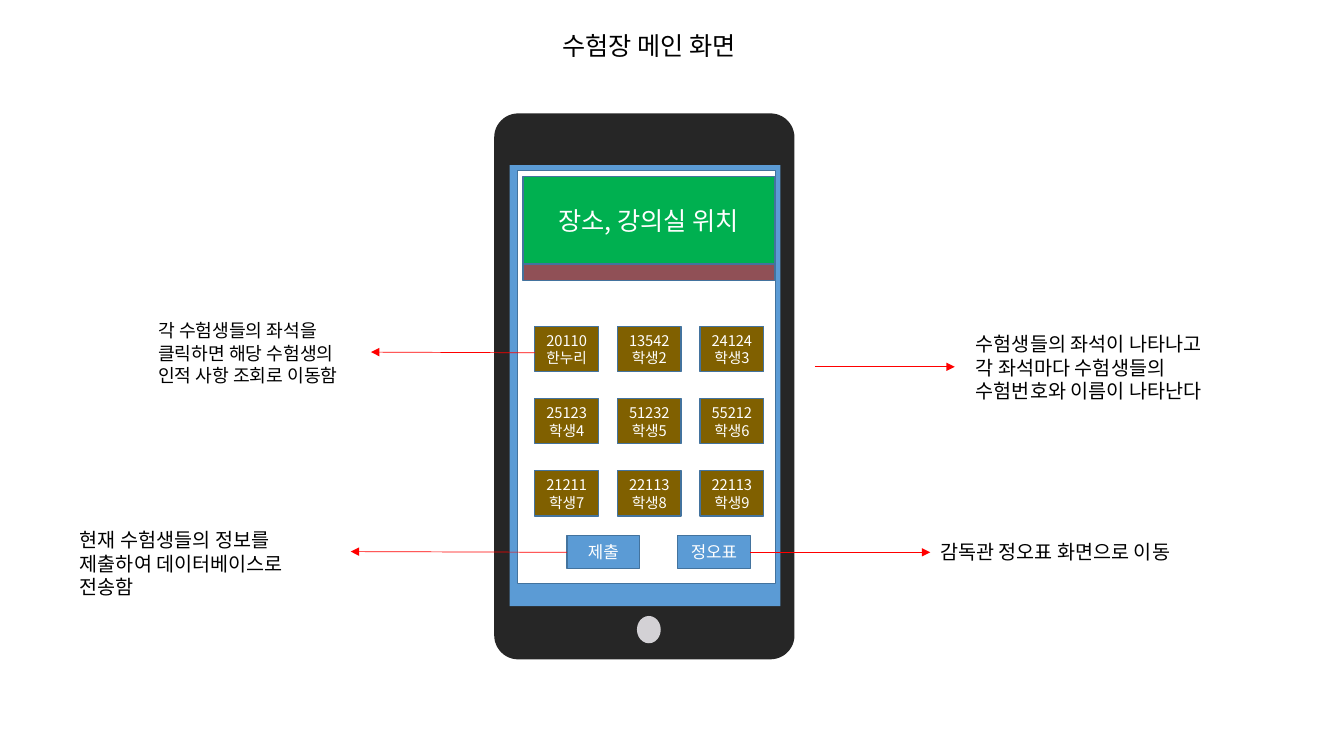
from pptx import Presentation
from pptx.dml.color import RGBColor
from pptx.enum.shapes import MSO_CONNECTOR as Link, MSO_SHAPE as Form
from pptx.enum.text import MSO_ANCHOR as Anchor, PP_ALIGN as Align
from pptx.oxml.ns import qn
from pptx.util import Pt
from lxml.etree import SubElement

FONT = "Noto Sans CJK KR"
BLACK = RGBColor(0x00, 0x00, 0x00)
WHITE = RGBColor(0xFF, 0xFF, 0xFF)
CASE = RGBColor(0x26, 0x26, 0x26)
BLUE = RGBColor(0x5B, 0x9B, 0xD5)
EDGE = RGBColor(0x43, 0x73, 0x9E)
GREEN = RGBColor(0x00, 0xB0, 0x50)
WINE = RGBColor(0x90, 0x50, 0x56)
BROWN = RGBColor(0x80, 0x60, 0x00)
GREY = RGBColor(0xD3, 0xD1, 0xD5)
RED = RGBColor(0xFF, 0x00, 0x00)

TITLE = (241, 18, 441, 29)
PHONE = (353, 81, 214.5, 390)
SEATS = [
    ["20110\n한누리", "13542\n학생2", "24124\n학생3"],
    ["25123\n학생4", "51232\n학생5", "55212\n학생6"],
    ["21211\n학생7", "22113\n학생8", "22113\n학생9"],
]
NOTES = [
    ((690, 233, 200, 58), "수험생들의 좌석이 나타나고\n각 좌석마다 수험생들의\n수험번호와 이름이 나타난다", 14),
    ((106, 224.5, 158, 55), "각 수험생들의 좌석을\n클릭하면 해당 수험생의\n인적 사항 조회로 이동함", 13),
    ((50, 373, 200, 58), "현재 수험생들의 정보를 제출하여 데이터베이스로 전송함", 14),
    ((664.5, 382, 200, 24.5), "감독관 정오표 화면으로 이동", 14),
]
ARROWS = [
    (582, 262, 682, 262),
    (382, 252, 265, 251.5),
    (405, 394.5, 250.5, 394),
    (536, 394.5, 664.5, 394.5),
]


def write(frame, text, size, color, align, anchor):
    frame.text = text
    frame.word_wrap = True
    frame.vertical_anchor = anchor
    for line in frame.paragraphs:
        line.alignment = align
        line.line_spacing = Pt(round(size * 1.22, 1))
        for run in line.runs:
            font = run.font
            font.name, font.size, font.color.rgb = FONT, Pt(size), color
            SubElement(run._r.rPr, qn("a:ea")).set("typeface", FONT)


def block(shapes, form, box, fill, edge=None, text="", size=12):
    shape = shapes.add_shape(form, *map(Pt, box))
    shape.shadow.inherit = False
    shape.fill.solid()
    shape.fill.fore_color.rgb = fill
    if edge is None:
        shape.line.fill.background()
    else:
        shape.line.color.rgb = edge
        shape.line.width = Pt(1)
    if text:
        frame = shape.text_frame
        frame.margin_left = frame.margin_right = Pt(0)
        frame.margin_top = frame.margin_bottom = Pt(0)
        write(frame, text, size, WHITE, Align.CENTER, Anchor.MIDDLE)
    return shape


def head(slide, box):
    title = slide.shapes.title
    title.left, title.top, title.width, title.height = map(Pt, box)
    write(title.text_frame, " 수험장 메인 화면", 18, BLACK, Align.CENTER, Anchor.MIDDLE)


def seats(shapes, left, top):
    for row, names in enumerate(SEATS):
        for col, name in enumerate(names):
            box = (left + 59 * col, top + 51.5 * row, 45.5, 32.5)
            block(shapes, Form.RECTANGLE, box, BROWN, EDGE, name, 10.5)


def phone(shapes, box):
    left, top = box[:2]
    body = block(shapes, Form.ROUNDED_RECTANGLE, box, CASE)
    body.adjustments[0] = 0.08
    block(shapes, Form.RECTANGLE, (left + 11, top + 37, 193.5, 315), BLUE)
    block(shapes, Form.OVAL, (left + 102, top + 359, 17, 19.5), GREY)
    block(shapes, Form.RECTANGLE, (left + 16.5, top + 41, 184.5, 295), WHITE, EDGE)
    block(shapes, Form.RECTANGLE, (left + 20.5, top + 107.5, 180, 12), WINE, EDGE)
    block(shapes, Form.RECTANGLE, (left + 20.5, top + 45, 180, 62.5), GREEN, EDGE,
          "장소, 강의실 위치", 18)
    seats(shapes, left + 29, top + 152)
    for col, name in enumerate(["제출", "정오표"]):
        spot = (left + 52 + 79 * col, top + 301.5, 52, 23.5)
        block(shapes, Form.RECTANGLE, spot, BLUE, EDGE, name, 12)


def note(shapes, box, text, size):
    frame = shapes.add_textbox(*map(Pt, box)).text_frame
    write(frame, text, size, BLACK, Align.LEFT, Anchor.TOP)


def arrow(shapes, ends):
    link = shapes.add_connector(Link.STRAIGHT, *map(Pt, ends))
    link.line.color.rgb = RED
    link.line.width = Pt(0.5)
    SubElement(link.line._get_or_add_ln(), qn("a:tailEnd")).set("type", "triangle")
    SubElement(link._element.spPr, qn("a:effectLst"))


def main():
    deck = Presentation()
    deck.slide_width, deck.slide_height = Pt(960), Pt(540)
    slide = deck.slides.add_slide(deck.slide_layouts[5])
    head(slide, TITLE)
    phone(slide.shapes, PHONE)
    for box, text, size in NOTES:
        note(slide.shapes, box, text, size)
    for ends in ARROWS:
        arrow(slide.shapes, ends)
    deck.save("out.pptx")


main()
